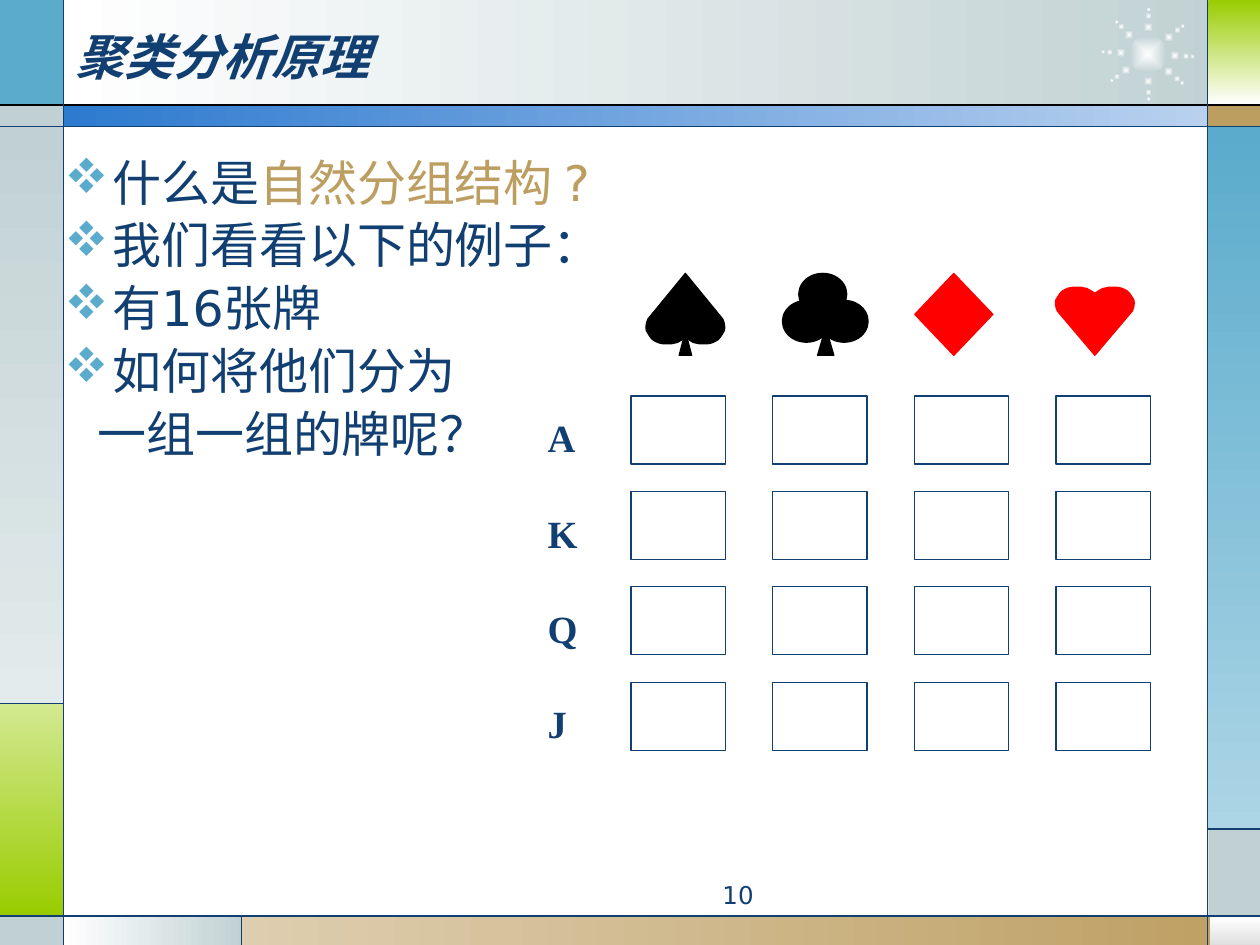
from math import cos, radians, sin

from lxml import etree
from pptx import Presentation
from pptx import util as u
from pptx.dml.color import RGBColor
from pptx.enum import shapes, text
from pptx.oxml.ns import qn

WIDTH, HEIGHT = u.Inches(10), u.Inches(7.5)
COLUMN, ROW = WIDTH / 100, HEIGHT / 75
SANS, SERIF = "DejaVu Sans", "Times New Roman"
COLORS = {
    "navy": "113F71", "sky": "5AABCC", "pale_sky": "ACD5E5", "mist": "C1D1D3",
    "pale_mist": "E3EBEC", "lime": "99CC00", "pale_lime": "D3E991",
    "tan": "BD9E61", "pale_tan": "DECEB0", "blue": "2D7ACF", "pale_blue": "B9D1EF",
    "white": "FFFFFF", "pearl": "DEDEDE", "black": "000000", "red": "FF0000",
}
PANELS = [
    ((5, 0, 92.7, 8.4), ("white", "mist"), 0),
    ((0, 0, 5, 8.4), ("sky",), 0),
    ((0, 8.3, 5, 1.7), ("mist",), 0),
    ((0, 10, 5, 45.8), ("mist", "pale_mist"), 270),
    ((0, 55.8, 5, 16.9), ("pale_lime", "lime"), 270),
    ((0, 72.8, 5, 2.3), ("mist",), 0),
    ((5, 72.7, 14.3, 2.4), ("white", "mist"), 0),
    ((19.2, 72.7, 80.8, 2.4), ("pale_tan", "tan"), 0),
    ((96, 72.8, 4, 2.3), ("white", "pearl"), 270),
    ((95.9, 65.8, 4.1, 7), ("mist",), 0),
    ((95.8, 10, 4.2, 55.8), ("sky", "pale_sky"), 270),
    ((95.8, 8.3, 4.2, 1.7), ("tan",), 0),
    ((95.9, 0, 4.1, 8.3), ("lime", "white"), 270),
    ((5, 8.3, 90.9, 1.7), ("blue", "pale_blue"), 0),
]
RULES = [
    (0, 8.33, 100, 8.33, "black"), (0, 10.02, 100, 10.02, "navy"),
    (0, 72.7, 100, 72.7, "navy"), (5.02, 0, 5.02, 75, "navy"),
    (95.84, 0, 95.84, 75, "navy"), (5, 55.82, 0, 55.82, "navy"),
    (19.18, 72.7, 19.18, 75, "navy"), (95.8, 65.8, 100, 65.8, "navy"),
]
RAY_ANGLES = (3, 40, 89, 144, 183, 226, 271, 321)
HEART_LOBE = [
    (0, .09), (.03, .07), (.06, .04), (.1, .02), (.15, 0), (.19, 0), (.26, 0),
    (.32, 0), (.37, .02), (.42, .06), (.45, .09), (.48, .15), (.5, .19),
    (.51, .24), (.5, .3), (.48, .35),
]
QUESTIONS = [
    (True, [("什么是", "navy"), ("自然分组结构 ?", "tan")]),
    (True, [("我们看看以下的例子：", "navy")]),
    (True, [("有16张牌", "navy")]),
    (True, [("如何将他们分为", "navy")]),
    (False, [("一组一组的牌呢？", "navy")]),
]


def rgb(name):
    """Look up a colour by name."""
    return RGBColor.from_string(COLORS[name])


def emu(box):
    """Turn columns and rows into slide lengths."""
    return [round(value * unit) for value, unit in zip(box, (COLUMN, ROW) * 2)]


def within(box, left, top, width, height):
    """Return the part of a box given by shares of its size."""
    return (box[0] + left * box[2], box[1] + top * box[3], width * box[2], height * box[3])


def paint(shape, colors, angle=0, outline=None):
    """Fill a shape with one colour, two blended colours or none, and set its outline."""
    shape.shadow.inherit = False
    if not colors:
        shape.fill.background()
    elif len(colors) == 1:
        shape.fill.solid()
        shape.fill.fore_color.rgb = rgb(colors[0])
    else:
        shape.fill.gradient()
        shape.fill.gradient_angle = angle
        for stop, name, position in zip(shape.fill.gradient_stops, colors, (0, 1)):
            stop.color.rgb = rgb(name)
            stop.position = position
    if outline:
        shape.line.color.rgb = rgb(outline)
        shape.line.width = u.Pt(.75)
    else:
        shape.line.fill.background()


def add_part(slide, kind, box, colors, angle=0, outline=None):
    """Add a painted preset shape."""
    shape = slide.shapes.add_shape(kind, *emu(box))
    paint(shape, colors, angle, outline)
    return shape


def add_frame(slide):
    """Draw the coloured border panels and their dividing lines."""
    for box, colors, angle in PANELS:
        add_part(slide, shapes.MSO_SHAPE.RECTANGLE, box, colors, angle)
    add_sparkle(slide, (87.4, .6, 7.4, 7.4))
    for *ends, color in RULES:
        line = slide.shapes.add_connector(shapes.MSO_CONNECTOR.STRAIGHT, *emu(ends))
        line.line.color.rgb = rgb(color)
        line.line.width = u.Pt(.75)
        etree.SubElement(line.element.spPr, qn("a:effectLst"))


def add_sparkle(slide, box):
    """Draw a glowing centre with eight rays of shrinking dots."""
    dots = [(0, 0, .41)]
    for degrees in RAY_ANGLES:
        angle = radians(degrees)
        for radius, size in ((.29, .1), (.41, .07), (.48, .05)):
            dots.append((radius * cos(angle), radius * sin(angle), size))
    for x, y, size in dots:
        place = within(box, .5 + x - size / 2, .5 + y - size / 2, size, size)
        dot = add_part(slide, shapes.MSO_SHAPE.OVAL, place, ("white", "mist"))
        linear = dot.element.spPr.find(".//" + qn("a:lin"))
        glow = etree.Element(qn("a:path"), path="shape")
        etree.SubElement(glow, qn("a:fillToRect"), l="50000", t="50000", r="50000", b="50000")
        linear.getparent().replace(linear, glow)


def bend(segments):
    """Merge three straight segments into one cubic curve."""
    curve = etree.Element(qn("a:cubicBezTo"))
    segments[0].addprevious(curve)
    for segment in segments:
        curve.append(segment[0])
        segment.getparent().remove(segment)


def add_heart(slide, box, color="red", upside_down=False):
    """Draw a curved heart outline that fills the box."""
    outline = HEART_LOBE + [(0, 1)] + [(-x, y) for x, y in reversed(HEART_LOBE)]
    points = [emu(within(box, .5 + x, 1 - y if upside_down else y, 0, 0))[:2] for x, y in outline]
    builder = slide.shapes.build_freeform(*points[0])
    builder.add_line_segments(points[1:], close=True)
    heart = builder.convert_to_shape()
    segments = list(heart.element.iter(qn("a:lnTo")))
    lobe = len(HEART_LOBE) - 1
    for first in (0, lobe + 2):
        for start in range(first, first + lobe, 3):
            bend(segments[start:start + 3])
    paint(heart, (color,), outline=color)


def add_spade(slide, box):
    """Draw a spade from an upturned heart and a stem."""
    add_heart(slide, within(box, 0, 0, 1, .86), "black", True)
    add_part(slide, shapes.MSO_SHAPE.FLOWCHART_EXTRACT, within(box, .42, .71, .16, .29),
             ("black",), outline="black")


def add_club(slide, box):
    """Draw a club from three leaves and a stem."""
    for left, top in ((.19, 0), (.44, .33), (0, .33)):
        add_part(slide, shapes.MSO_SHAPE.OVAL, within(box, left, top, .56, .51),
                 ("black",), outline="black")
    add_part(slide, shapes.MSO_SHAPE.FLOWCHART_EXTRACT, within(box, .41, .66, .19, .34),
             ("black",), outline="black")


def add_diamond(slide, box):
    """Draw a diamond that fills the box."""
    add_part(slide, shapes.MSO_SHAPE.FLOWCHART_DECISION, box, ("red",), outline="red")


def style(font, size, color="navy", name=SANS):
    """Set size, colour and typeface."""
    font.size, font.name, font.color.rgb = u.Pt(size), name, rgb(color)


def add_label(slide, box, words, size, align, name=SANS):
    """Add a one-line text box and return its paragraph."""
    frame = slide.shapes.add_textbox(*emu(box)).text_frame
    frame.word_wrap = True
    paragraph = frame.paragraphs[0]
    paragraph.text, paragraph.alignment = words, align
    style(paragraph.font, size, name=name)
    return paragraph


def add_cards(slide, box):
    """Draw the grid of empty cards with its row labels."""
    left, top, width, height = box
    for row, rank in enumerate("AKQJ"):
        y = top + row * 7.58
        for column in range(4):
            add_part(slide, shapes.MSO_SHAPE.RECTANGLE, (left + column * 11.25, y, width, height),
                     (), outline="navy")
        label = add_label(slide, (left - 7.6, y - 3.3, width, height), rank, 22,
                          text.PP_ALIGN.JUSTIFY, SERIF)
        label.line_spacing = 2.16
        label.font.bold = True


def add_title(slide, box):
    """Place and format the title above the frame."""
    title = slide.shapes.title
    title.element.getparent().append(title.element)
    title.left, title.top, title.width, title.height = emu(box)
    title.text_frame.vertical_anchor = text.MSO_ANCHOR.MIDDLE
    paragraph = title.text_frame.paragraphs[0]
    paragraph.text, paragraph.alignment = "聚类分析原理", text.PP_ALIGN.LEFT
    style(paragraph.font, 28)
    paragraph.font.bold = paragraph.font.italic = True


def add_questions(slide, box):
    """Write the bulleted questions."""
    frame = slide.shapes.add_textbox(*emu(box)).text_frame
    frame.word_wrap = True
    for index, (bulleted, runs) in enumerate(QUESTIONS):
        paragraph = frame.add_paragraph() if index else frame.paragraphs[0]
        properties = paragraph._p.get_or_add_pPr()
        properties.set("marL", str(u.Inches(.38 if bulleted else .26)))
        if bulleted:
            properties.set("indent", str(-u.Inches(.38)))
            tint = etree.SubElement(properties, qn("a:buClr"))
            etree.SubElement(tint, qn("a:srgbClr"), val=COLORS["sky"])
            etree.SubElement(properties, qn("a:buFont"), typeface="Wingdings", charset="2")
            etree.SubElement(properties, qn("a:buChar"), char="v")
        paragraph.line_spacing = .9
        paragraph.space_before = u.Pt(5.6 if index else 0)
        for words, color in runs:
            run = paragraph.add_run()
            run.text = words
            style(run.font, 28, color)


def main():
    """Build and save the slide."""
    presentation = Presentation()
    presentation.slide_width, presentation.slide_height = WIDTH, HEIGHT
    slide = presentation.slides.add_slide(presentation.slide_layouts[5])
    add_frame(slide)
    add_title(slide, (5, .8, 90, 7.2))
    add_questions(slide, (4.15, 12.1, 88.3, 27.9))
    add_heart(slide, (83.8, 22.8, 6.2, 5.4))
    add_club(slide, (62.1, 21.7, 6.8, 6.5))
    add_diamond(slide, (72.6, 21.7, 6.2, 6.5))
    add_spade(slide, (51.3, 21.7, 6.2, 6.5))
    add_cards(slide, (50.07, 31.42, 7.5, 5.4))
    add_label(slide, (37.5, 69.35, 23.3, 2.7), "10", 14, text.PP_ALIGN.RIGHT)
    presentation.save("out.pptx")


if __name__ == "__main__":
    main()
